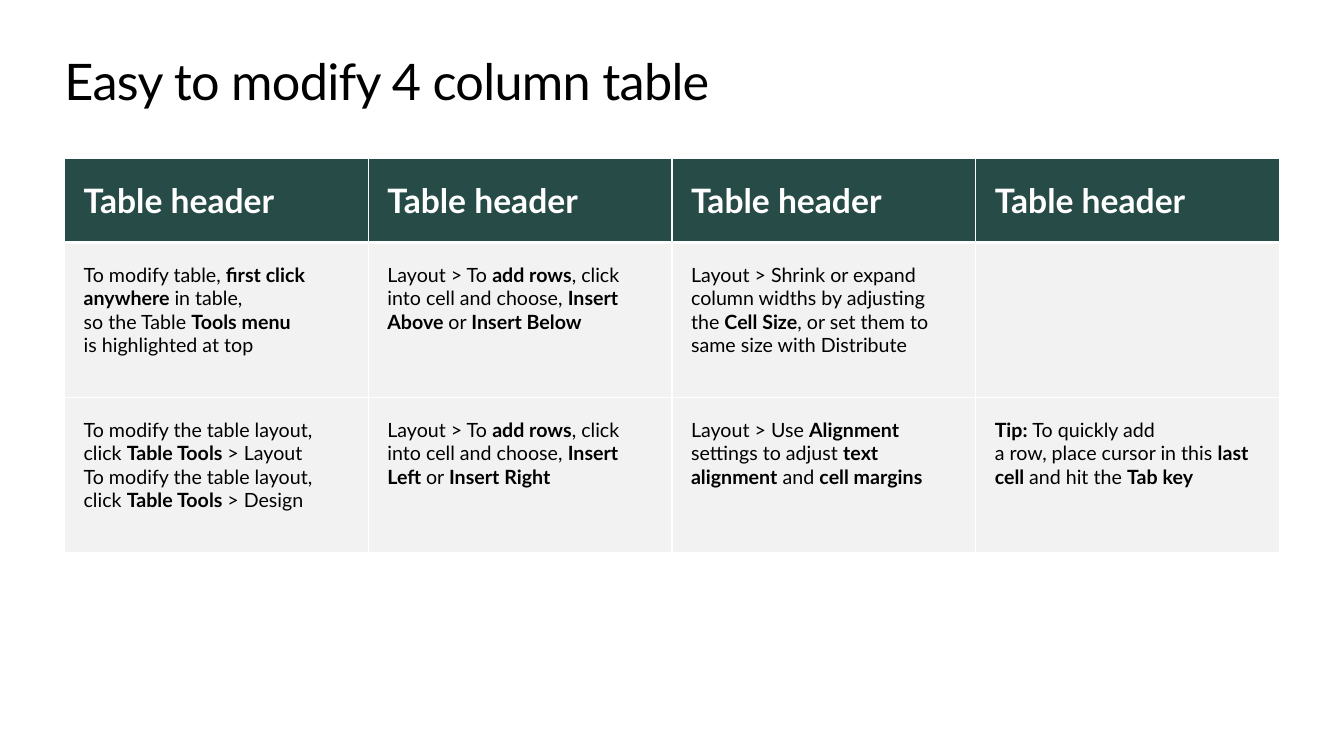
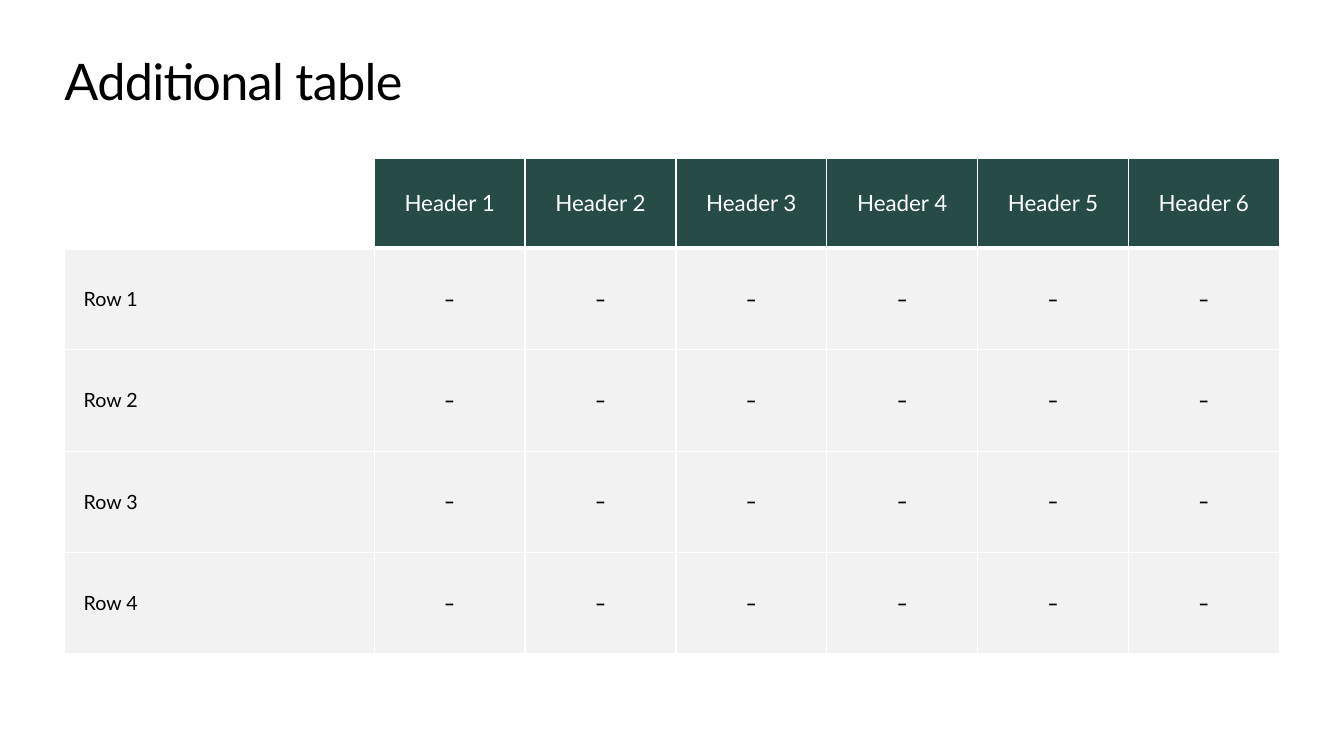
from dataclasses import dataclass

from lxml.etree import SubElement
from pptx import Presentation
from pptx.dml.color import RGBColor
from pptx.enum.text import MSO_ANCHOR, PP_ALIGN
from pptx.oxml.ns import qn
from pptx.util import Inches, Pt

COLORS = {"paper": "FFFFFF", "ink": "000000", "header": "274B47", "body": "F2F2F2"}
FONT = "Lato"
DASH_FONT = "Cabin"

SLIDE_WIDTH = Inches(13.33)
SLIDE_HEIGHT = Inches(7.5)

# Places in percent of the slide's width or height
MARGIN = 4.8
CONTENT_WIDTH = 100 - 2 * MARGIN
TITLE_TOP = 6.67
TITLE_HEIGHT = 8.13
TABLE_TOP = 20.9

THIN, THICK = 1, 3
INDENT = 0.19
PADDED = (INDENT, 0.2, INDENT, 0.2)
LABEL = (INDENT, 0, 0, 0)
FLUSH = (0, 0, 0, 0)


@dataclass(frozen=True)
class CellStyle:
    size: int
    fill: str | None = "body"
    color: str = "ink"
    font: str = FONT
    bold: bool = False
    align: PP_ALIGN = PP_ALIGN.LEFT
    anchor: MSO_ANCHOR = MSO_ANCHOR.MIDDLE
    insets: tuple[float, float, float, float] = FLUSH


@dataclass(frozen=True)
class TablePage:
    """Column and row weights share out the table's width and height."""
    title: str
    height: float
    columns: list[float]
    rows: list[float]
    texts: list[list[str]]
    styles: list[list[CellStyle]]


BIG_HEADER = CellStyle(24, fill="header", color="paper", bold=True, insets=PADDED)
PROSE = CellStyle(14, anchor=MSO_ANCHOR.TOP, insets=PADDED)
HEADER = CellStyle(16, fill="header", color="paper", align=PP_ALIGN.CENTER)
CORNER = CellStyle(16, fill=None)
ROW_LABEL = CellStyle(14, insets=LABEL)
VALUE = CellStyle(14, font=DASH_FONT, align=PP_ALIGN.CENTER)

PAGES = [
    TablePage(
        title="Easy to modify 4 column table",
        height=52.27,
        columns=[1] * 4,
        rows=[0.84, 1.54, 1.54],
        texts=[
            ["Table header"] * 4,
            [
                "To modify table, **first click anywhere **in table,\n"
                "so the Table **Tools menu \v**is highlighted at top",
                "Layout > To **add rows**, click into cell and choose, "
                "**Insert Above **or **Insert Below**",
                "Layout > Shrink or expand column widths by adjusting the "
                "**Cell Size**, or set them to same size with Distribute",
                "",
            ],
            [
                "To modify the table layout, click **Table Tools **> Layout\n"
                "To modify the table layout, click **Table Tools **> Design",
                "Layout > To **add rows**, click into cell and choose, "
                "**Insert Left **or **Insert Right**",
                "Layout > Use **Alignment **settings to adjust "
                "**text alignment** and **cell margins**",
                "**Tip: **To quickly add \va row, place cursor in this "
                "**last cell **and hit the **Tab key**",
            ],
        ],
        styles=[[BIG_HEADER] * 4, [PROSE] * 4, [PROSE] * 4],
    ),
    TablePage(
        title="Additional table",
        height=65.6,
        columns=[3.08] + [1.5] * 6,
        rows=[0.9] + [1.01] * 4,
        texts=[[""] + [f"Header {number}" for number in range(1, 7)]]
        + [[f"Row {number}"] + ["–"] * 6 for number in range(1, 5)],
        styles=[[CORNER] + [HEADER] * 6] + [[ROW_LABEL] + [VALUE] * 6] * 4,
    ),
]


def across(percent: float) -> int:
    return round(SLIDE_WIDTH * percent / 100)


def down(percent: float) -> int:
    return round(SLIDE_HEIGHT * percent / 100)


def write_text(frame, text: str, *, size: float, font: str = FONT, color: str = "ink",
               bold: bool = False, align: PP_ALIGN = PP_ALIGN.LEFT,
               spacing: float = 0) -> None:
    """Start a paragraph at each \\n, break a line at \\v, switch bold at **."""
    for index, line in enumerate(text.split("\n")):
        para = frame.paragraphs[0] if index == 0 else frame.add_paragraph()
        para.alignment = align
        for part, chunk in enumerate(line.split("**")):
            for piece, words in enumerate(chunk.split("\v")):
                if piece:
                    para.add_line_break()
                if not words:
                    continue
                span = para.add_run()
                span.text = words
                span.font.name = font
                span.font.size = Pt(size)
                span.font.bold = bold or part % 2 == 1
                span.font.color.rgb = RGBColor.from_string(COLORS[color])
                if spacing:
                    span.font._element.set("spc", str(round(spacing * 100)))


def set_borders(cell, top: float, bottom: float) -> None:
    properties = cell._tc.get_or_add_tcPr()
    widths = {"a:lnL": THIN, "a:lnR": THIN, "a:lnT": top, "a:lnB": bottom}
    for position, (tag, width) in enumerate(widths.items()):
        line = SubElement(properties, qn(tag), w=str(Pt(width)))
        fill = SubElement(line, qn("a:solidFill"))
        SubElement(fill, qn("a:srgbClr"), val=COLORS["paper"])
        properties.insert(position, line)


def fill_cell(cell, text: str, style: CellStyle) -> None:
    if style.fill:
        cell.fill.solid()
        cell.fill.fore_color.rgb = RGBColor.from_string(COLORS[style.fill])
    else:
        cell.fill.background()
    cell.margin_left, cell.margin_top, cell.margin_right, cell.margin_bottom = map(
        Inches, style.insets)
    cell.vertical_anchor = style.anchor
    write_text(cell.text_frame, text, size=style.size, font=style.font,
               color=style.color, bold=style.bold, align=style.align)


def add_title(page, text: str) -> None:
    box = page.shapes.add_textbox(across(MARGIN), down(TITLE_TOP),
                                  across(CONTENT_WIDTH), down(TITLE_HEIGHT))
    frame = box.text_frame
    frame.word_wrap = True
    frame.margin_left = frame.margin_top = frame.margin_right = frame.margin_bottom = 0
    write_text(frame, text, size=36, spacing=-0.5)


def share_out(total: int, lines, weights: list[float], side: str) -> None:
    for line, weight in zip(lines, weights):
        setattr(line, side, round(total * weight / sum(weights)))


def add_table(page, content: TablePage) -> None:
    width, height = across(CONTENT_WIDTH), down(content.height)
    table = page.shapes.add_table(len(content.rows), len(content.columns),
                                  across(MARGIN), down(TABLE_TOP), width, height).table
    table.horz_banding = False
    share_out(width, table.columns, content.columns, "width")
    share_out(height, table.rows, content.rows, "height")
    for row, (texts, styles) in enumerate(zip(content.texts, content.styles)):
        for column, (text, style) in enumerate(zip(texts, styles)):
            cell = table.cell(row, column)
            fill_cell(cell, text, style)
            set_borders(cell, top=THICK if row == 1 else THIN,
                        bottom=THICK if row == 0 else THIN)


def main() -> None:
    deck = Presentation()
    deck.slide_width, deck.slide_height = SLIDE_WIDTH, SLIDE_HEIGHT
    for content in PAGES:
        page = deck.slides.add_slide(deck.slide_layouts[6])
        add_title(page, content.title)
        add_table(page, content)
    deck.save("out.pptx")


if __name__ == "__main__":
    main()
